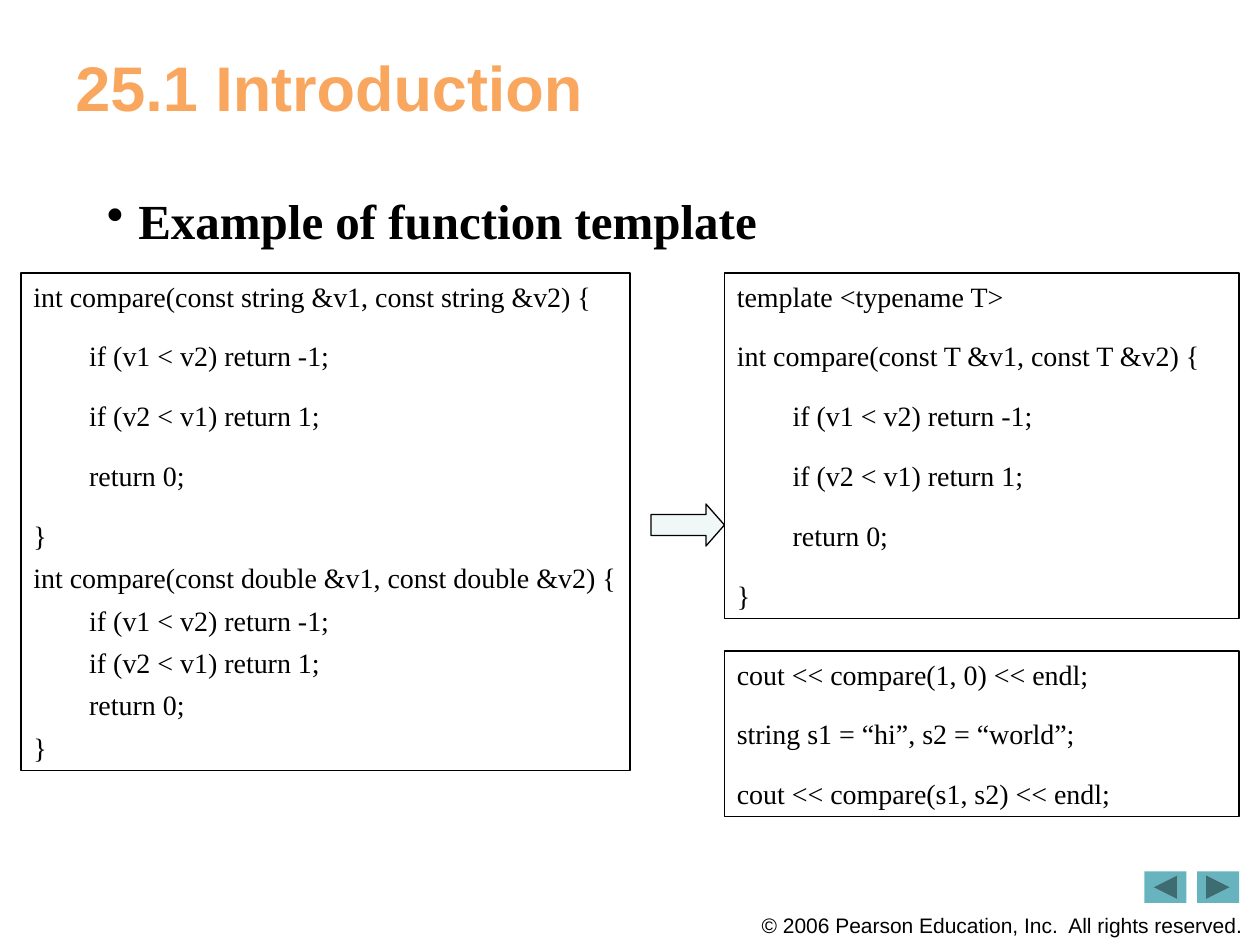
"""Build the slide that turns two overloads into one function template."""
from lxml.etree import SubElement
from pptx import Presentation
from pptx.dml.color import RGBColor
from pptx.enum.shapes import MSO_SHAPE as Kind
from pptx.enum.text import MSO_ANCHOR as Anchor, PP_ALIGN as Align
from pptx.oxml.ns import qn
from pptx.util import Inches, Pt

deck = Presentation()
deck.slide_width, deck.slide_height = Inches(10), Inches(7.5)
slide = deck.slides.add_slide(deck.slide_layouts[6])
shapes = slide.shapes
INK, SERIF = "000000", "Times New Roman"


def place(kind, col, row, wide, high, fill=None, line=None):
    """Put a shape, or a text box if kind is None, on a grid of 120 by 90 cells."""
    cell = deck.slide_width / 120
    area = [round(n * cell) for n in (col, row, wide, high)]
    if kind is None:
        return shapes.add_textbox(*area)
    shape = shapes.add_shape(kind, *area)
    shape.shadow.inherit = False
    for part, tint in ((shape.fill, fill), (shape.line.fill, line)):
        if tint:
            part.solid()
            part.fore_color.rgb = RGBColor.from_string(tint)
        else:
            part.background()
    if line:
        shape.line.width = Pt(0.75)
    return shape


def write(shape, text, size=16, font=SERIF, color=INK, bold=False, hang=0, bullet=None,
          before=(), after=0, align=Align.LEFT, anchor=Anchor.TOP, top=0.05, wrap=True):
    """Fill a shape with lines of text, where before lists the space above each line."""
    frame = shape.text_frame
    frame.word_wrap, frame.vertical_anchor = wrap, anchor
    frame.margin_top = Inches(top)
    for i, words in enumerate(text.split("\n")):
        para = frame.add_paragraph() if i else frame.paragraphs[0]
        para.alignment = align
        props = para._p.get_or_add_pPr()
        if hang:
            props.set("marL", str(Inches(hang)))
            props.set("indent", str(-Inches(hang)))
        para.space_before = Pt(before[i] if i < len(before) else 0)
        para.space_after = Pt(after)
        if bullet:
            SubElement(props, qn("a:buChar")).set("char", bullet)
        run = para.add_run()
        run.text = words
        run.font.name, run.font.size, run.font.bold = font, Pt(size), bold
        run.font.color.rgb = RGBColor.from_string(color)


for col, turn in ((114, 0), (109, 180)):
    place(Kind.ACTION_BUTTON_FORWARD_OR_NEXT, col, 83, 4, 3, fill="67B4BF").rotation = turn

write(place(None, 71.2, 86.3, 48.5, 3.6),
      "© 2006 Pearson Education, Inc.  All rights reserved.",
      size=12, font="Arial", align=Align.CENTER, wrap=False)
write(place(None, 6, 1, 108, 15), "25.1 Introduction", size=36, font="Arial",
      color="F9A75E", bold=True, anchor=Anchor.MIDDLE, top=0)
write(place(None, 9, 17.6, 105, 59.4), "Example of function template",
      size=28, bold=True, hang=0.25, bullet="•", after=8.8)

body = """
        if (v1 < v2) return -1;
        if (v2 < v1) return 1;
        return 0;
}"""
pair = ("int compare(const string &v1, const string &v2) {" + body
        + "\nint compare(const double &v1, const double &v2) {" + body)
generic = "template <typename T>\nint compare(const T &v1, const T &v2) {" + body
calls = """cout << compare(1, 0) << endl;
string s1 = “hi”, s2 = “world”;
cout << compare(s1, s2) << endl;"""

for code, col, row, wide, high, loose in (
    (pair, 2, 26, 58, 47.4, 4),
    (generic, 69, 26, 49, 32.9, 5),
    (calls, 69, 62, 49, 15.8, 2),
):
    box = place(Kind.RECTANGLE, col, row, wide, high, line=INK)
    write(box, code, hang=0.25, before=[0] + [10] * loose, after=5)

arrow = place(Kind.RIGHT_ARROW, 62, 48, 7, 4, fill="F0F7F7", line=INK)
arrow.adjustments[0], arrow.adjustments[1] = 0.5, 0.44

deck.save("out.pptx")
